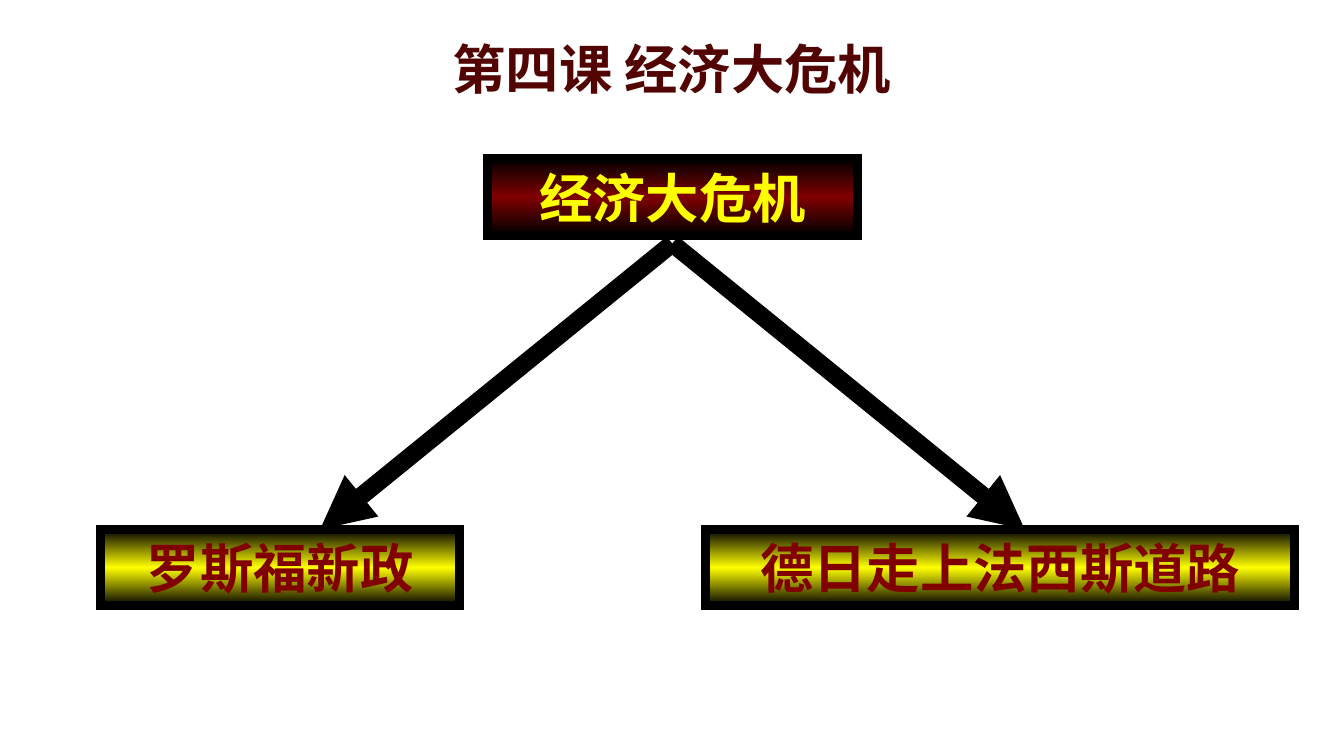
import copy

import pptx
import pptx.dml.color
import pptx.enum.shapes
import pptx.enum.text
import pptx.oxml
import pptx.oxml.ns
import pptx.util

Pt = pptx.util.Pt
qn = pptx.oxml.ns.qn

PAGE_WIDTH, PAGE_HEIGHT = 453.55, 255.15
TITLE = "第四课 经济大危机"
CJK_FONT = "Noto Sans CJK SC"
BOX_HEIGHT = 25.8
EFFECT_TOP = 178.7

# text, left, top, width, gradient middle, text colour
BOXES = [
    ("经济大危机", 164.5, 53.6, 124.8, "800000", "FFFF00"),
    ("罗斯福新政", 34, EFFECT_TOP, 121, "FFFF00", "800000"),
    ("德日走上法西斯道路", 238.2, EFFECT_TOP, 198.6, "FFFF00", "800000"),
]
ARROW_TOP = 82.2
ARROW_CENTRE = 226.9
ARROW_SPREAD = 118.9


def colour(value):
    return pptx.dml.color.RGBColor.from_string(value)


def element(tag, attributes=""):
    namespace = pptx.oxml.ns.nsdecls("a")
    return pptx.oxml.parse_xml(f"<a:{tag} {namespace} {attributes}/>")


def write(shape, text, font_name, text_colour, margins):
    frame = shape.text_frame
    frame.margin_left = frame.margin_right = Pt(margins[0])
    frame.margin_top = frame.margin_bottom = Pt(margins[1])
    frame.vertical_anchor = pptx.enum.text.MSO_ANCHOR.MIDDLE
    frame.word_wrap = True
    para = frame.paragraphs[0]
    para.text = text
    para.alignment = pptx.enum.text.PP_ALIGN.CENTER
    font = para.font
    font.name, font.size, font.bold = font_name, Pt(18), True
    font.color.rgb = colour(text_colour)
    latin = para._p.pPr.find(qn("a:defRPr")).find(qn("a:latin"))
    latin.addnext(element("ea", f'typeface="{CJK_FONT}"'))


def fill_band(shape, middle):
    """Fill with a vertical gradient from black to the middle colour and back."""
    shape.fill.gradient()
    shape.fill.gradient_angle = 90
    stop_list = shape._element.spPr.find(".//" + qn("a:gsLst"))
    stop_list.append(copy.deepcopy(stop_list[0]))
    stops = zip(shape.fill.gradient_stops, (0, 0.5, 1), ("000000", middle, "000000"))
    for stop, position, value in stops:
        stop.position = position
        stop.color.rgb = colour(value)


def draw_line(shape, width, detail):
    shape.line.color.rgb = colour("000000")
    shape.line.width = Pt(width)
    shape._element.spPr.find(qn("a:ln")).append(detail)


def add_box(page, text, left, top, width, middle, text_colour):
    box = page.shapes.add_shape(
        pptx.enum.shapes.MSO_SHAPE.RECTANGLE,
        Pt(left), Pt(top), Pt(width), Pt(BOX_HEIGHT))
    box.shadow.inherit = False
    fill_band(box, middle)
    draw_line(box, 3, element("miter", 'lim="800000"'))
    write(box, text, "Arial", text_colour, (4.3, 2.2))


def add_arrow(page, start_x, start_y, end_x, end_y):
    arrow = page.shapes.add_connector(
        pptx.enum.shapes.MSO_CONNECTOR.STRAIGHT,
        Pt(start_x), Pt(start_y), Pt(end_x), Pt(end_y))
    draw_line(arrow, 6, element("tailEnd", 'type="triangle"'))
    arrow._element.spPr.append(element("effectLst"))


def main():
    deck = pptx.Presentation()
    deck.slide_width, deck.slide_height = Pt(PAGE_WIDTH), Pt(PAGE_HEIGHT)
    page = deck.slides.add_slide(deck.slide_layouts[6])

    title = page.shapes.add_textbox(Pt(0), Pt(8.9), Pt(PAGE_WIDTH), Pt(28))
    write(title, TITLE, CJK_FONT, "520402", (7.2, 3.6))

    for side in (-1, 1):
        add_arrow(page, ARROW_CENTRE, ARROW_TOP,
                  ARROW_CENTRE + side * ARROW_SPREAD, EFFECT_TOP)
    for box in BOXES:
        add_box(page, *box)

    deck.save("out.pptx")


if __name__ == "__main__":
    main()
